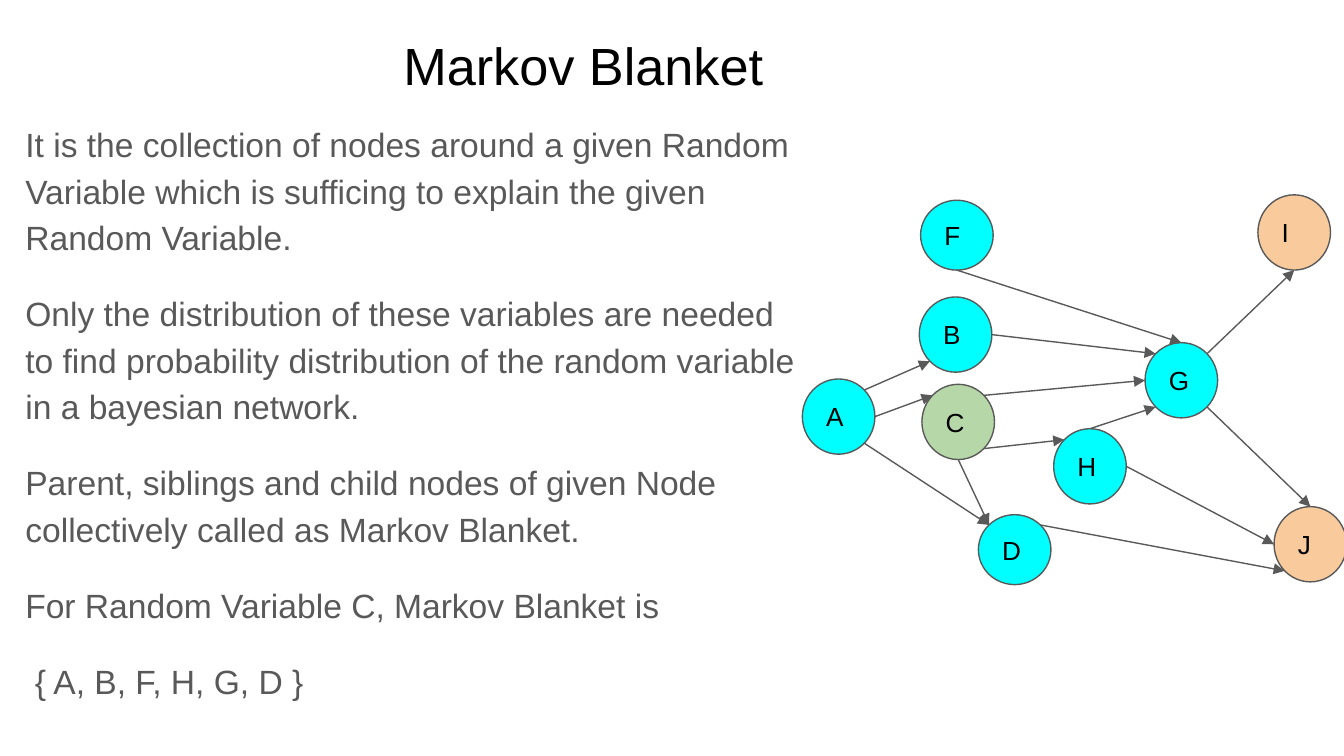
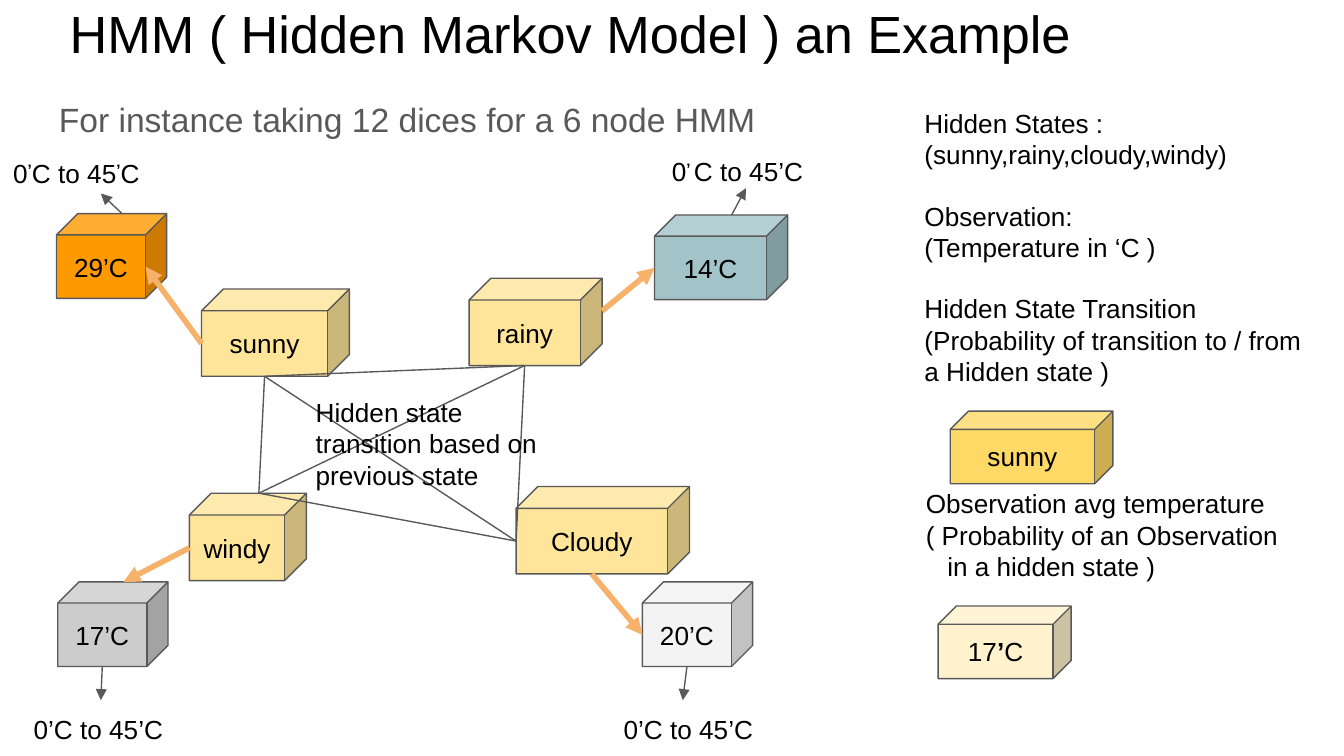
from math import cos, pi, sin
from lxml.etree import SubElement
from pptx import Presentation
from pptx.dml.color import RGBColor as Rgb
from pptx.enum.shapes import MSO_CONNECTOR as Link, MSO_SHAPE as Kind
from pptx.enum.text import MSO_ANCHOR as Anchor, PP_ALIGN as Align
from pptx.oxml.ns import qn
from pptx.util import Inches, Pt

BLACK, GREY = "000000", "595959"
CYAN, PEACH, GREEN = "00FFFF", "F9CB9C", "B6D7A8"
CREAM, AMBER = "FFE599", "F6B26B"
COLS = 100
PAD = 1


def color(code):
    return Rgb.from_string(code)


def round_site(box, i):
    x, y, w, h = box
    turn = pi / 2 + i * pi / 4
    return x + w / 2 * (1 + cos(turn)), y + h / 2 * (1 - sin(turn))


def cube_site(box, i):
    x, y, w, h = box
    d = min(w, h) / 4
    spots = [((w + d) / 2, 0), ((w - d) / 2, d), (0, (h + d) / 2),
             ((w - d) / 2, h), (w - d, (h + d) / 2), (w, (h - d) / 2)]
    return x + spots[i][0], y + spots[i][1]


class Deck:
    font = "Arial"

    def __init__(self):
        self.show = Presentation()
        self.show.slide_width = Inches(10)
        self.show.slide_height = self.show.slide_width * 9 // 16
        self.unit = self.show.slide_width / COLS

    def page(self):
        self.slide = self.show.slides.add_slide(self.show.slide_layouts[6])

    def size(self, *cells):
        return [round(cell * self.unit) for cell in cells]

    def put(self, frame, lines, size=14, ink=BLACK, align=Align.LEFT,
            left=PAD, right=PAD, gaps=(), tabs=(), lead=None, lift=False):
        frame.word_wrap = True
        frame.margin_left, frame.margin_right = self.size(left, right)
        frame.margin_top, frame.margin_bottom = self.size(PAD, PAD)
        for i, line in enumerate(lines):
            para = frame.paragraphs[0] if i == 0 else frame.add_paragraph()
            para.alignment = align
            para.line_spacing = lead
            if i in gaps:
                para.space_before = Pt(16)
            if i in tabs:
                props = para._p.get_or_add_pPr()
                props.set("marL", str(self.size(tabs[i])[0]))
                props.set("indent", "0")
            for n, part in enumerate(line.split("*")):
                run = para.add_run()
                run.text = part
                font = run.font
                font.name, font.size = self.font, Pt(size)
                font.color.rgb = color(ink)
                font.bold = n % 2 == 1
                if font.bold and lift:
                    run._r.get_or_add_rPr().set("baseline", "30000")

    def text(self, box, *lines, **style):
        shape = self.slide.shapes.add_textbox(*self.size(*box))
        self.put(shape.text_frame, lines, **style)

    def title(self, box, line, **style):
        self.text(box, line, size=28, **style)

    def body(self, box, *lines, **style):
        self.text(box, *lines, size=18, ink=GREY, lead=1.15, **style)

    def block(self, kind, box, word, fill, align=Align.CENTER):
        shape = self.slide.shapes.add_shape(kind, *self.size(*box))
        shape.shadow.inherit = False
        shape.fill.solid()
        shape.fill.fore_color.rgb = color(fill)
        shape.line.color.rgb = color(GREY)
        shape.line.width = Pt(0.75)
        shape.text_frame.vertical_anchor = Anchor.MIDDLE
        self.put(shape.text_frame, [word], align=align)

    def line(self, start, end, ink=GREY, width=0.75, head=True):
        link = self.slide.shapes.add_connector(
            Link.STRAIGHT, *self.size(*start, *end))
        link.line.color.rgb = color(ink)
        link.line.width = Pt(width)
        props = link._element.spPr
        if head:
            SubElement(props.find(qn("a:ln")), qn("a:tailEnd"),
                       type="triangle")
        SubElement(props, qn("a:effectLst"))


def blanket(deck):
    deck.page()
    deck.title((3.4, 1.5, 93.2, 6.3), "Markov Blanket",
               align=Align.CENTER, right=14.2)
    deck.body(
        (0.9, 7.8, 59.5, 42.2),
        "It is the collection of nodes around a given Random Variable "
        "which is sufficing to explain the given Random Variable.",
        "Only the distribution of these variables are needed to find "
        "probability distribution of the random variable in a bayesian "
        "network.",
        "Parent, siblings and child nodes of given Node collectively "
        "called as Markov Blanket.",
        "For Random Variable C, Markov Blanket is",
        "{ A, B, F, H, G, D }",
        gaps=range(1, 5), tabs={4: 0.7})
    wide, tall, short = 5.4, 5.6, 5.2
    nodes = {
        "J": (94.8, 37.7, tall, PEACH), "G": (85.2, 25.5, tall, CYAN),
        "H": (78.4, 31.9, tall, CYAN), "I": (93.6, 14.5, tall, PEACH),
        "B": (68.4, 22.1, tall, CYAN), "C": (68.6, 28.6, tall, GREEN),
        "F": (68.5, 14.9, short, CYAN), "A": (59.7, 28.2, tall, CYAN),
        "D": (72.8, 38.3, short, CYAN),
    }
    boxes = {}
    for name, (x, y, high, fill) in nodes.items():
        boxes[name] = (x, y, wide, high)
        deck.block(Kind.OVAL, boxes[name], name, fill, Align.LEFT)
    edges = ("F4G0 B6G1 G7I4 G5J0 H0G3 H6J2 D7J3 "
             "C7G2 C4D1 C5H1 A5D1 A6C1 A7B3")
    for a, i, b, j in edges.split():
        deck.line(round_site(boxes[a], int(i)), round_site(boxes[b], int(j)))


def hidden(deck):
    deck.page()
    deck.title((4.2, -0.9, 93.2, 6.3),
               "HMM ( Hidden Markov Model ) an Example")
    deck.body((3.4, 5.9, 93.2, 3.4),
              "For instance taking 12 dices for a 6 node HMM")
    states = {
        "sunny": (15, 21.5, 11, 6.5), "rainy": (34.9, 20.7, 9.9, 6.5),
        "Cloudy": (38.4, 36.2, 12.9, 6.5), "windy": (14.1, 36.7, 8.7, 6.5),
    }
    for name, box in states.items():
        deck.block(Kind.CUBE, box, name, CREAM)
    temps = [
        ("29’C", (4.2, 15.9, 8.2, 6.3), "FF9900", "sunny", 2, 4, 0, (7.5, 14.4)),
        ("14’C", (48.7, 16, 9.9, 6.3), "A2C4C9", "rainy", 5, 2, 0, (55.5, 14)),
        ("20’C", (47.8, 43.3, 8.2, 6.3), "F3F3F3", "Cloudy", 3, 2, 3,
         (50.8, 52.1)),
        ("17’C", (4.3, 43.3, 8.2, 6.3), "CCCCCC", "windy", 2, 0, 3,
         (7.5, 52.1)),
    ]
    for word, box, fill, state, out, into, edge, tip in temps:
        deck.block(Kind.CUBE, box, word, fill)
        deck.line(cube_site(box, edge), tip)
        deck.line(cube_site(states[state], out), cube_site(box, into),
                  AMBER, 3)
    sites = {"sunny": 3, "rainy": 3, "Cloudy": 2, "windy": 0}
    ends = [cube_site(states[name], i) for name, i in sites.items()]
    for i, start in enumerate(ends):
        for end in ends[i + 1:]:
            deck.line(start, end, head=False)
    deck.text((0, 10.7, 15, 3.7), "0*’*C to 45*’*C", lift=True)
    deck.text((49, 10.6, 12.9, 3.4), "0*’ *C to 45’C", lift=True)
    deck.text((43.8, 52.1, 14.1, 3.4), "0’C to 45’C", left=2.6)
    deck.text((1, 52.1, 13.1, 3.4), "0’C to 45’C", left=1.5)
    deck.text((22.5, 28.5, 19.9, 9.3),
              "Hidden state transition based on previous state")
    deck.text((67.8, 7, 31.1, 15.7),
              "Hidden States :", "(sunny,rainy,cloudy,windy)",
              "Observation:", "(Temperature in ‘C )",
              "Hidden State Transition",
              "(Probability of transition to / from a Hidden state )",
              gaps=(2, 4))
    deck.block(Kind.CUBE, (70.7, 30.6, 12.1, 5.4), "sunny", "FFD966")
    deck.text((67.9, 35.3, 29.4, 9.3),
              "Observation avg temperature",
              "( Probability of an Observation", "in a hidden state )",
              tabs={2: 1.6})
    deck.block(Kind.CUBE, (69.8, 45.1, 9.9, 5.4), "17*’*C", "FFF2CC")


def main():
    deck = Deck()
    blanket(deck)
    hidden(deck)
    deck.show.save("out.pptx")


if __name__ == "__main__":
    main()
